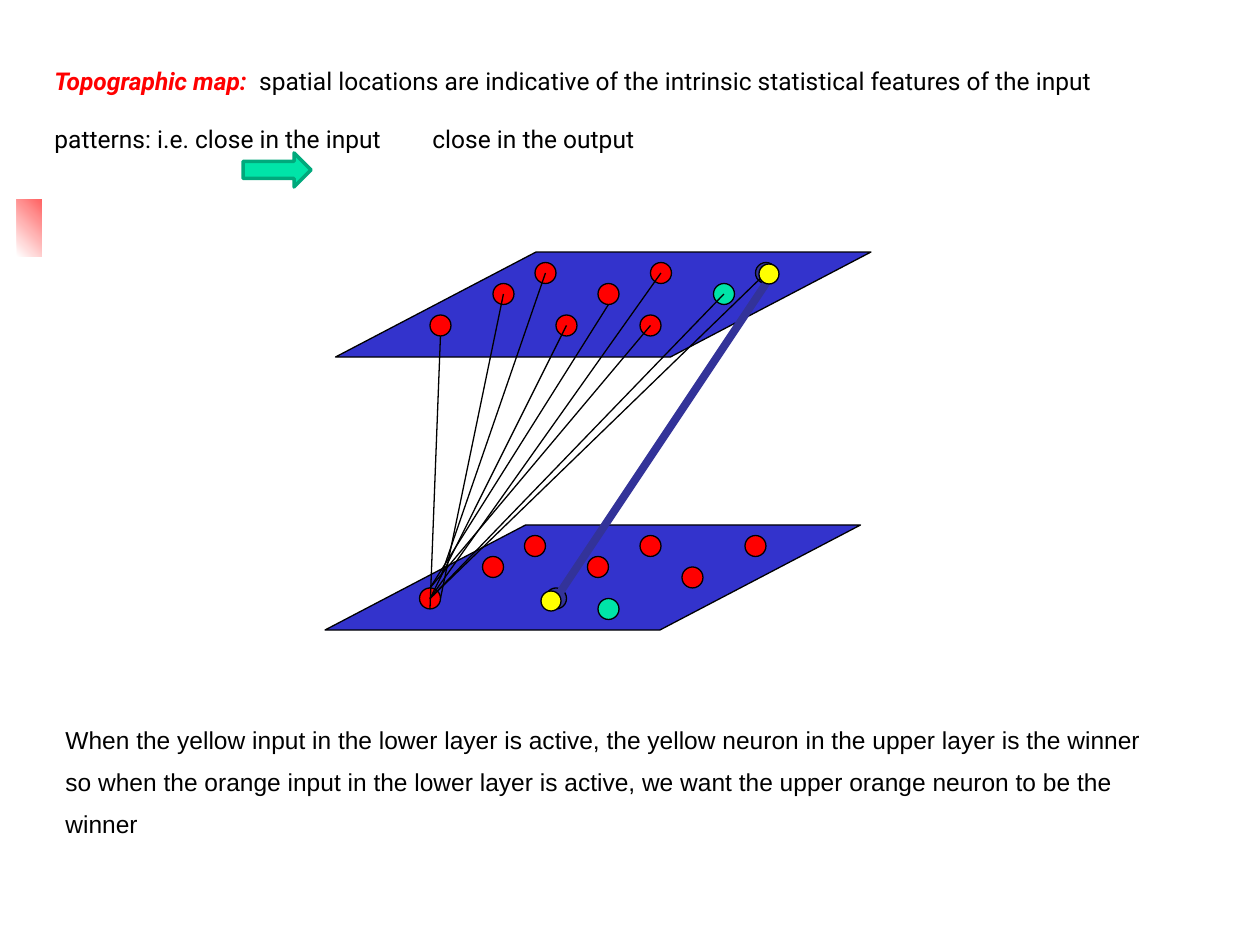
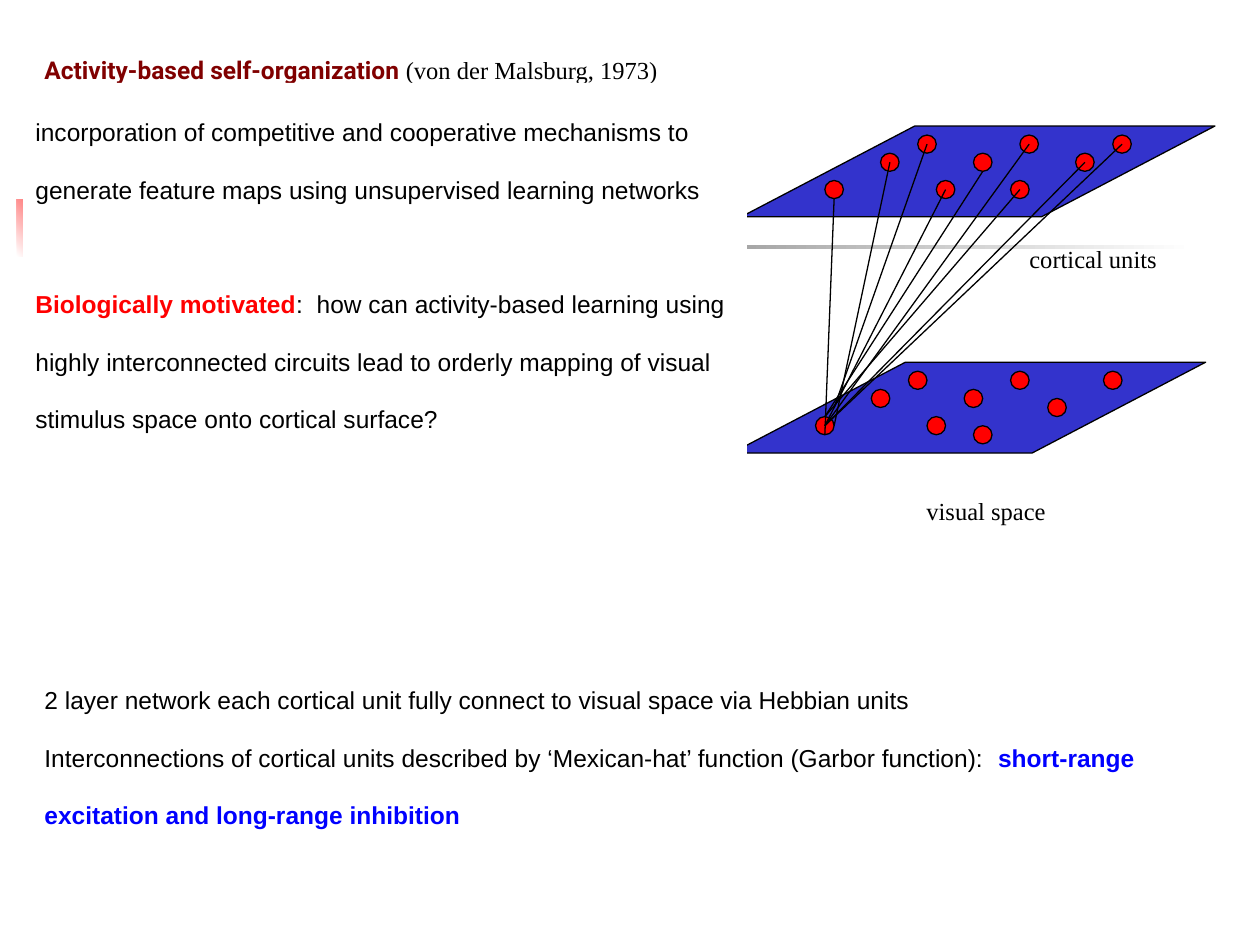
from lxml import etree
from pptx import Presentation
from pptx import util as u
from pptx.dml.color import RGBColor
from pptx.enum import shapes, text
from pptx.oxml import ns

PX = 914400 / 126
BLACK = RGBColor(0, 0, 0)
WHITE = RGBColor(255, 255, 255)
RED = RGBColor(255, 0, 0)
MAROON = RGBColor(128, 0, 0)
BLUE = RGBColor(0, 0, 255)
YELLOW = RGBColor(255, 255, 0)
PLANE = RGBColor(0x33, 0x33, 0xCC)
INDIGO = RGBColor(0x33, 0x33, 0x99)
GREEN = RGBColor(0x00, 0xE4, 0xA8)
DARK_GREEN = RGBColor(0x00, 0xA9, 0x7C)
CHARCOAL = RGBColor(0x1C, 0x1C, 0x1C)

BODY = {"name": "Arial", "size": u.Pt(14), "bold": False, "italic": False}
ROBOTO = {**BODY, "name": "Roboto"}
TIMES = {**BODY, "name": "Times New Roman"}
BOLD = {**BODY, "bold": True}
DOUBLE = u.Pt(32.8)

MAP_COLS, MAP_ROWS = 52, 36
PLANE_SIZE = (51, 10)
PLANE_CORNERS = [(1, 0), (0, 26)]
UPPER_UNITS = [(20, 1), (31, 1), (41, 1), (16, 3), (26, 3), (37, 3),
               (10, 6), (22, 6), (30, 6)]
LOWER_UNITS = [(19, 27), (30, 27), (40, 27), (15, 29), (25, 29), (34, 30),
               (9, 32), (21, 32), (26, 33)]
LINKS = [((11, 8), (10, 34)), ((17, 4), (11, 33)), ((21, 2), (11, 31)),
         ((23, 7), (10, 33)), ((27, 5), (10, 32)), ((32, 2), (10, 33)),
         ((42, 2), (10, 33)), ((38, 4), (10, 33)), ((31, 7), (10, 32))]
WINNER_LINK = ((42, 3), (22, 33))
UNIT_COLOURS = {(41, 1): INDIGO, (37, 3): GREEN, (21, 32): INDIGO, (26, 33): GREEN}


def emu(*lengths):
    return [u.Emu(round(length * PX)) for length in lengths]


def add_figure(slide, kind, box, fill, outline=BLACK, width=0.75):
    figure = slide.shapes.add_shape(kind, *emu(*box))
    figure.shadow.inherit = False
    figure.fill.solid()
    figure.fill.fore_color.rgb = fill
    if outline is None:
        figure.line.fill.background()
    else:
        figure.line.color.rgb = outline
        figure.line.width = u.Pt(width)
    return figure


def add_gradient(slide, box, start, end, angle):
    band = add_figure(slide, shapes.MSO_SHAPE.RECTANGLE, box, start, None)
    band.fill.gradient()
    band.fill.gradient_angle = angle
    for stop, colour, position in zip(band.fill.gradient_stops, (start, end), (0, 1)):
        stop.color.rgb = colour
        stop.position = position


def add_link(slide, start, end, colour=BLACK, width=0.75):
    link = slide.shapes.add_connector(shapes.MSO_CONNECTOR.STRAIGHT, *emu(*start, *end))
    link.line.color.rgb = colour
    link.line.width = u.Pt(width)
    etree.SubElement(link._element.spPr, ns.qn("a:effectLst"))


def write(frame, paragraphs, spacing=DOUBLE, gap=0):
    frame.word_wrap = True
    frame.vertical_anchor = text.MSO_ANCHOR.TOP
    for index, runs in enumerate(paragraphs):
        paragraph = frame.add_paragraph() if index else frame.paragraphs[0]
        layout = {"alignment": text.PP_ALIGN.LEFT, "line_spacing": spacing,
                  "space_before": u.Pt(gap if index else 0)}
        for key, value in layout.items():
            setattr(paragraph, key, value)
        for words, style, colour in runs:
            run = paragraph.add_run()
            run.text = words
            run.font.color.rgb = colour
            for key, value in style.items():
                setattr(run.font, key, value)


def add_text(slide, box, paragraphs, **layout):
    write(slide.shapes.add_textbox(*emu(*box)).text_frame, paragraphs, **layout)


def add_white_panel(slide, box, paragraphs, **layout):
    panel = add_figure(slide, shapes.MSO_SHAPE.RECTANGLE, box, WHITE, None)
    write(panel.text_frame, paragraphs, **layout)
    return panel


def add_tab_stop(paragraph, position):
    stops = etree.SubElement(paragraph._p.get_or_add_pPr(), ns.qn("a:tabLst"))
    etree.SubElement(stops, ns.qn("a:tab"), pos=str(emu(position)[0]), algn="l")


def add_map(slide, left, top, width, height, colours, winner=False):
    step_x, step_y = width / MAP_COLS, height / MAP_ROWS

    def place(cell):
        return left + cell[0] * step_x, top + cell[1] * step_y

    def cell_box(cell, cols, rows):
        return *place(cell), cols * step_x, rows * step_y

    for corner, units in zip(PLANE_CORNERS, (UPPER_UNITS, LOWER_UNITS)):
        plane = add_figure(slide, shapes.MSO_SHAPE.PARALLELOGRAM,
                           cell_box(corner, *PLANE_SIZE), PLANE)
        plane.adjustments[0] = 1.91
        for unit in units:
            add_figure(slide, shapes.MSO_SHAPE.OVAL, cell_box(unit, 2, 2),
                       colours.get(unit, RED))
    for start, end in LINKS:
        add_link(slide, place(start), place(end))
    if winner:
        add_link(slide, *map(place, WINNER_LINK), INDIGO, 4.5)


def start_slide(deck):
    slide = deck.slides.add_slide(deck.slide_layouts[6])
    add_gradient(slide, (17, 199, 77, 58), WHITE, RED, 45)
    return slide


def build_topographic_map(deck):
    slide = start_slide(deck)
    definition = add_white_panel(slide, (42, 32, 1165, 317), [[
        ("Topographic map: ", {**ROBOTO, "bold": True, "italic": True}, RED),
        (" spatial locations are indicative of the intrinsic statistical features of the "
         "input patterns: i.e. close in the input\tclose in the output", ROBOTO, BLACK)]])
    add_tab_stop(definition.text_frame.paragraphs[0], 271)
    add_text(slide, (53, 706, 1113, 183), [[
        ("When the yellow input in the lower layer is active, the yellow neuron in the upper "
         "layer is the winner so when the orange input in the lower layer is active, we want "
         "the upper orange neuron to be the winner", BODY, BLACK)]], spacing=u.Pt(24))
    add_map(slide, 325, 252, 546, 378, UNIT_COLOURS, winner=True)
    for left, top in [(541, 591), (759, 264)]:
        add_figure(slide, shapes.MSO_SHAPE.OVAL, (left, top, 20, 20), YELLOW)
    add_figure(slide, shapes.MSO_SHAPE.RIGHT_ARROW, (243, 153, 68, 34), GREEN, DARK_GREEN, 2)


def build_self_organization(deck):
    slide = start_slide(deck)
    add_gradient(slide, (60, 245, 1134, 4), CHARCOAL, WHITE, 0)
    add_text(slide, (32, 651, 1216, 267), [
        [("2 layer network each cortical unit fully connect to visual space via Hebbian units",
          BODY, BLACK)],
        [("Interconnections of cortical units described by ‘Mexican-hat’ function "
          "(Garbor function):  ", BODY, BLACK),
         ("short-range excitation and long-range inhibition", BOLD, BLUE)]])
    for label, left, top in [("visual space", 914, 462), ("cortical units", 1017, 210)]:
        add_text(slide, (left, top, 230, 63), [[(label, TIMES, BLACK)]])
    add_text(slide, (32, 21, 1165, 63), [[
        ("Activity-based self-organization ", {**ROBOTO, "bold": True}, MAROON),
        ("(von der Malsburg, 1973)", TIMES, BLACK)]])
    add_map(slide, 732, 126, 483, 327, {})
    add_white_panel(slide, (23, 83, 724, 522), [
        [("incorporation of competitive and cooperative mechanisms to generate feature maps "
          "using unsupervised learning networks", BODY, BLACK)],
        [("Biologically motivated", BOLD, RED),
         (":  how can activity-based learning using highly interconnected circuits lead to "
          "orderly mapping of visual stimulus space onto cortical surface?", BODY, BLACK)]],
        gap=32.8)


def main():
    deck = Presentation()
    deck.slide_width, deck.slide_height = emu(1260, 945)
    build_topographic_map(deck)
    build_self_organization(deck)
    deck.save("out.pptx")


if __name__ == "__main__":
    main()
